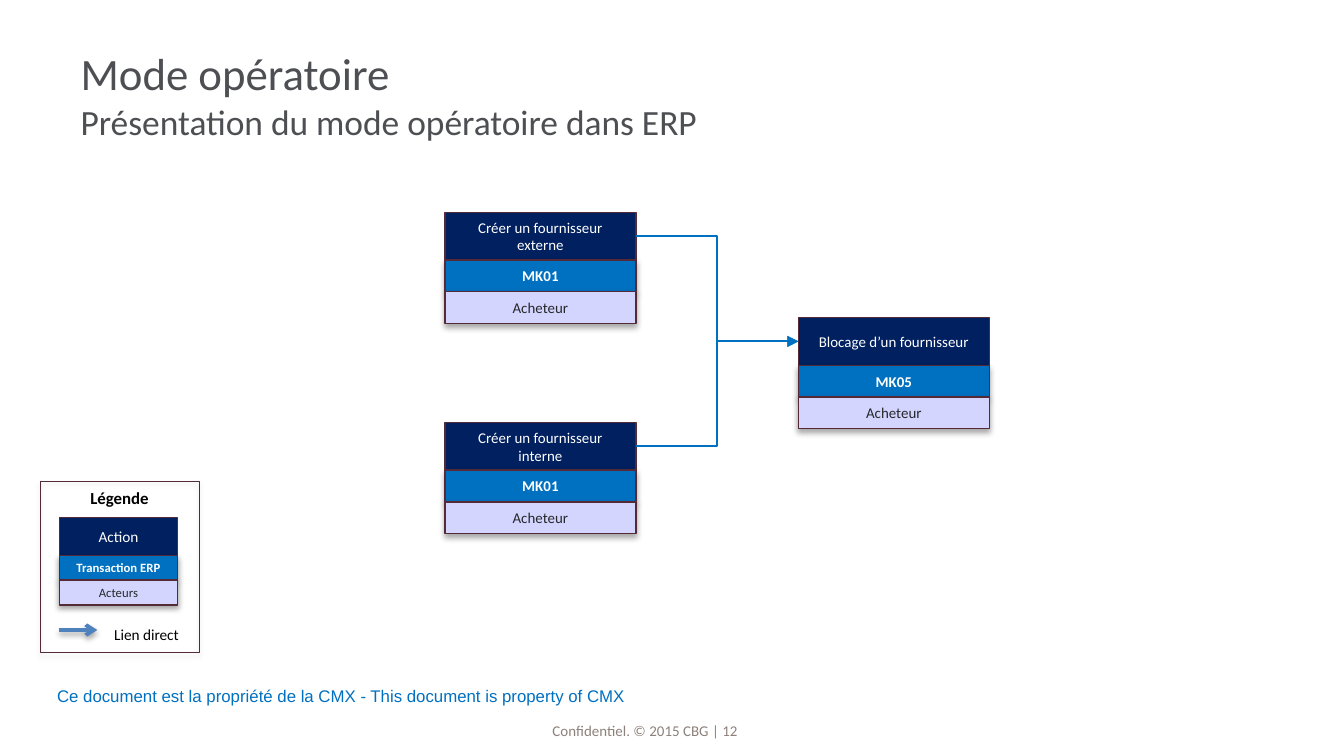
from itertools import accumulate

from lxml.etree import SubElement
from pptx import Presentation
from pptx.dml.color import RGBColor
from pptx.enum.shapes import MSO_CONNECTOR as Connector, MSO_SHAPE as Shape
from pptx.enum.text import MSO_ANCHOR as Anchor, PP_ALIGN as Align
from pptx.oxml.ns import qn
from pptx.util import Cm, Pt

# Content
TITLE = ("Mode opératoire", "Présentation du mode opératoire dans ERP")
STEPS = [  # left, top, (action, transaction, actor)
    (8.41, 4.01, ("Créer un fournisseur externe", "MK01", "Acheteur")),
    (8.41, 7.98, ("Créer un fournisseur interne", "MK01", "Acheteur")),
    (15.09, 6, ("Blocage d’un fournisseur", "MK05", "Acheteur")),
]
LINKS = [(0, 2), (1, 2)]
LEGEND_TITLE = "Légende"
LEGEND_ROWS = ("Action", "Transaction ERP", "Acteurs")
LEGEND_LINK = "Lien direct"
OWNERSHIP = "Ce document est la propriété de la CMX - This document is property of CMX"
COPYRIGHT = "Confidentiel. © 2015 CBG | 12"

# Style
COLORS = {
    "title": "4D4F53", "navy": "002060", "blue": "0070C0", "lilac": "D3D5FF",
    "border": "552A37", "white": "FFFFFF", "dark": "26282A", "black": "000000",
    "arrow": "4F81BD", "footer": "8D817B",
}
ROW_STYLES = [  # fill, text colour, bold, shadow
    ("navy", "white", False, False),
    ("blue", "white", True, True),
    ("lilac", "dark", False, True),
]


def rgb(name):
    return RGBColor.from_string(COLORS[name])


def write(shape, text, size, color, bold=False, font="Calibri",
          align=Align.CENTER, anchor=Anchor.MIDDLE, wrap=True):
    frame = shape.text_frame
    frame.word_wrap = wrap
    frame.vertical_anchor = anchor
    paragraph = frame.paragraphs[0]
    paragraph.alignment = align
    run = paragraph.add_run()
    run.text = text
    run.font.size, run.font.bold, run.font.name = Pt(size), bold, font
    run.font.color.rgb = rgb(color)
    return frame


def add_label(left, top, width, height, text, size, color, **style):
    box = slide.shapes.add_textbox(Cm(left), Cm(top), Cm(width), Cm(height))
    return write(box, text, size, color, **style)


def set_shadow(shape, visible):
    properties = shape._element.spPr
    for old in properties.findall(qn("a:effectLst")):
        properties.remove(old)
    effects = SubElement(properties, qn("a:effectLst"))
    if visible:
        shadow = SubElement(effects, qn("a:outerShdw"), blurRad=str(Pt(3.1)),
                            dist=str(Pt(1.8)), dir="5400000", rotWithShape="0")
        black = SubElement(shadow, qn("a:srgbClr"), val=COLORS["black"])
        SubElement(black, qn("a:alpha"), val="35000")


def add_box(left, top, width, height, fill, line_width, shadow):
    box = slide.shapes.add_shape(Shape.RECTANGLE, Cm(left), Cm(top), Cm(width), Cm(height))
    if fill:
        box.fill.solid()
        box.fill.fore_color.rgb = rgb(fill)
    else:
        box.fill.background()
    box.line.color.rgb = rgb("border")
    box.line.width = Pt(line_width)
    set_shadow(box, shadow)
    return box


def add_stack(left, top, width, heights, texts, sizes):
    """Stack the action, transaction and actor rows; return the action box."""
    tops = accumulate(heights[:-1], initial=top)
    boxes = []
    for y, height, text, size, style in zip(tops, heights, texts, sizes, ROW_STYLES):
        fill, color, bold, shadow = style
        box = add_box(left, y, width, height, fill, 0.75, shadow)
        write(box, text, size, color, bold=bold)
        boxes.append(box)
    return boxes[0]


def add_arrow(kind, ends, color, width, head, shadow=False):
    arrow = slide.shapes.add_connector(kind, *(Cm(value) for value in ends))
    arrow.line.color.rgb = rgb(color)
    arrow.line.width = Pt(width)
    SubElement(arrow.line._get_or_add_ln(), qn("a:tailEnd"), type=head)
    set_shadow(arrow, shadow)
    return arrow


presentation = Presentation()
presentation.slide_width, presentation.slide_height = Cm(25.4), Cm(14.28)
slide = presentation.slides.add_slide(presentation.slide_layouts[5])

# Title
title = slide.shapes.title
title.left, title.top, title.width, title.height = Cm(1.27), Cm(0.58), Cm(22.86), Cm(2.39)
write(title, TITLE[0], 24, "title", align=Align.LEFT)
title.text_frame.paragraphs[0].add_line_break()
write(title, TITLE[1], 19, "title", align=Align.LEFT)

# Process steps and their links
actions = [add_stack(left, top, 3.61, (0.9, 0.6, 0.6), texts, (8, 8, 8))
           for left, top, texts in STEPS]
for start, end in LINKS:
    link = add_arrow(Connector.ELBOW, (0, 0, 1, 1), "blue", 1, "triangle")
    link.begin_connect(actions[start], 3)
    link.end_connect(actions[end], 1)

# Legend
add_box(0.76, 9.09, 3, 3.23, None, 0.25, True)
add_label(0.76, 9.09, 3, 0.64, LEGEND_TITLE, 9, "black", bold=True, anchor=Anchor.TOP)
add_stack(1.12, 9.78, 2.24, (0.71, 0.47, 0.47), LEGEND_ROWS, (8.2, 6.8, 6.8))
add_arrow(Connector.STRAIGHT, (1.12, 11.9, 1.84, 11.9), "arrow", 2, "arrow", shadow=True)
add_label(1.88, 11.68, 1.78, 0.61, LEGEND_LINK, 8.2, "black", anchor=Anchor.TOP, wrap=False)

# Footer
add_label(0.79, 12.83, 11.3, 0.61, OWNERSHIP, 9, "blue", font="Arial")
copyright_frame = add_label(8.13, 13.54, 8.13, 0.43, COPYRIGHT, 8, "footer", anchor=Anchor.BOTTOM)
copyright_frame.margin_left = copyright_frame.margin_right = 0
copyright_frame.margin_top = copyright_frame.margin_bottom = 0

presentation.save("out.pptx")
